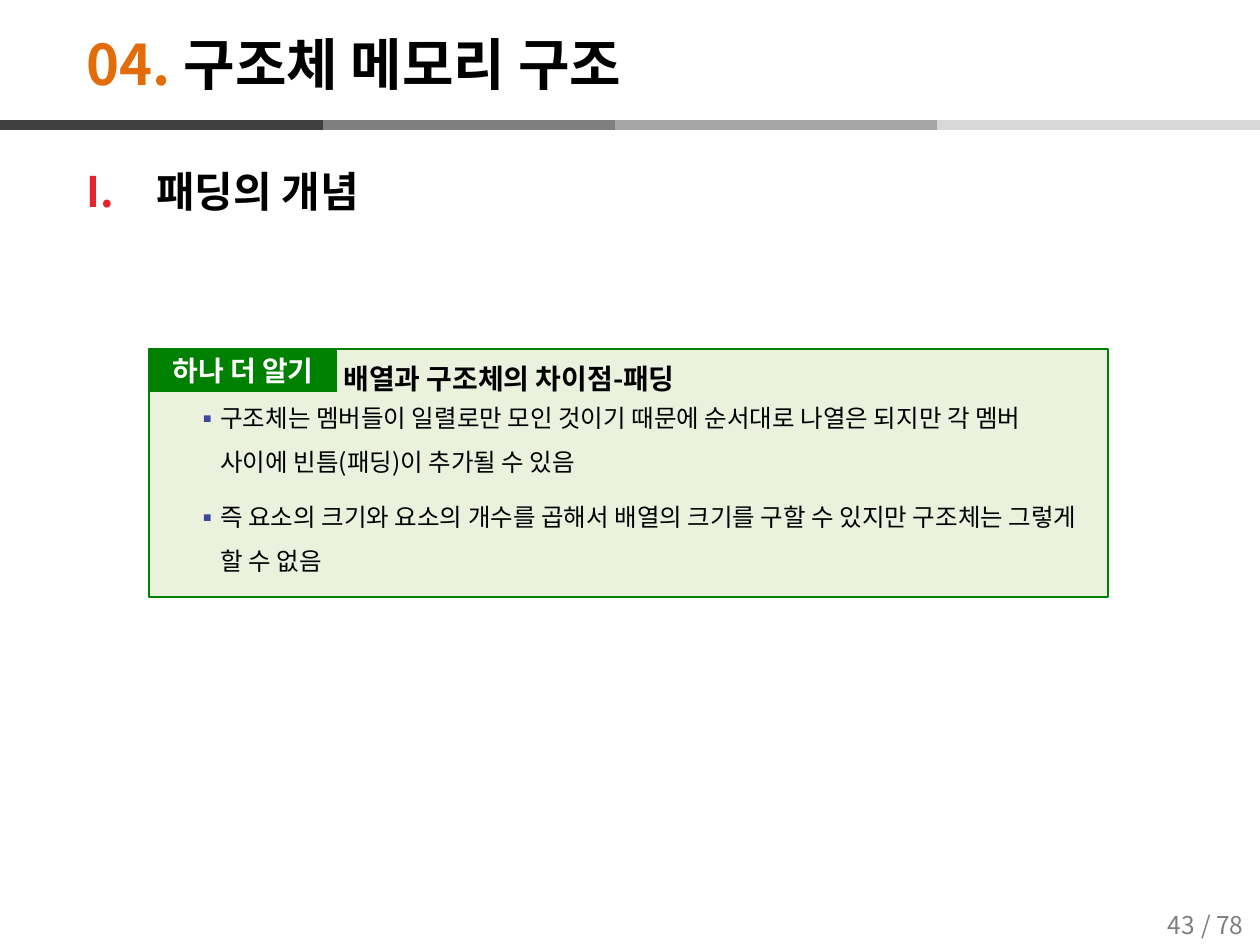
from lxml import etree
from pptx import Presentation
from pptx.dml.color import RGBColor
from pptx.enum.shapes import MSO_CONNECTOR, MSO_SHAPE
from pptx.enum.text import MSO_ANCHOR, PP_ALIGN
from pptx.oxml.ns import qn
from pptx.util import Emu, Pt

FONT = "Noto Sans CJK KR"
PX = 914400 / 126
LINE = MSO_CONNECTOR.STRAIGHT
RECTANGLE = MSO_SHAPE.RECTANGLE
TOP, MIDDLE = MSO_ANCHOR.TOP, MSO_ANCHOR.MIDDLE
LEFT, CENTER = PP_ALIGN.LEFT, PP_ALIGN.CENTER


def px(*lengths):
    return [Emu(round(length * PX)) for length in lengths]


def write(shape, paragraphs, size, color, bold=False, align=LEFT, anchor=MIDDLE,
          spacing=1.0, before=0, bullet=None):
    """Fill a shape with paragraphs; bullet is (tag, attributes, color, indent in px)."""
    frame = shape.text_frame
    frame.word_wrap = True
    frame.vertical_anchor = anchor
    for index, runs in enumerate(paragraphs):
        paragraph = frame.add_paragraph() if index else frame.paragraphs[0]
        paragraph.alignment = align
        paragraph.line_spacing = spacing
        paragraph.space_before = Pt(before)
        if bullet:
            tag, attributes, bullet_color, (margin, hanging) = bullet
            properties = paragraph._p.get_or_add_pPr()
            properties.set("marL", str(px(margin)[0]))
            properties.set("indent", str(-px(hanging)[0]))
            bullet_fill = etree.SubElement(properties, qn("a:buClr"))
            etree.SubElement(bullet_fill, qn("a:srgbClr"), val=bullet_color)
            etree.SubElement(properties, qn("a:buFont"), typeface=FONT)
            etree.SubElement(properties, qn(tag), attributes)
        font = paragraph.font
        font.size, font.bold = Pt(size), bold
        font.color.rgb = RGBColor.from_string(color)
        font.name = FONT
        etree.SubElement(font._element, qn("a:ea"), typeface=FONT)
        for text, run_color in runs:
            run = paragraph.add_run()
            run.text = text
            if run_color:
                run.font.color.rgb = RGBColor.from_string(run_color)


presentation = Presentation()
presentation.slide_width, presentation.slide_height = px(1260, 945)
slide = presentation.slides.add_slide(presentation.slide_layouts[6])
shapes = slide.shapes

# Divider under the title; the dark piece overlaps its neighbour
for start, color in [(292, "7F7F7F"), (615, "A5A5A5"), (937, "D8D8D8"), (0, "3F3F3F")]:
    divider = shapes.add_connector(LINE, *px(start, 125, start + 323, 125))
    divider.line.color.rgb = RGBColor.from_string(color)
    divider.line.width = Pt(6)
    etree.SubElement(divider._element.spPr, qn("a:effectLst"))

# Page number
for left, text in [(1178, "/ 78"), (1137, "43")]:
    page_box = shapes.add_textbox(*px(left, 900, 89, 49))
    write(page_box, [[(text, None)]], 14, "7F7F7F", align=CENTER)

# Title and section heading
title = shapes.add_textbox(*px(74, 25, 942, 76))
write(title, [[("04. ", "E36C09"), ("구조체 메모리 구조", None)]], 32, "000000", bold=True)
heading = shapes.add_textbox(*px(74, 139, 1160, 755))
write(heading, [[("패딩의 개념", None)]], 24, "000000", bold=True, anchor=TOP, spacing=1.4,
      bullet=("a:buAutoNum", {"type": "romanUcPeriod"}, "E5242C", (70, 70)))

# Note panel with its label
panel = shapes.add_shape(RECTANGLE, *px(149, 349, 959, 248))
notes = shapes.add_textbox(*px(146, 382, 944, 113))
label = shapes.add_shape(RECTANGLE, *px(149, 349, 188, 43))
note_title = shapes.add_textbox(*px(331, 343, 582, 53))

for shape, color in [(panel, "EAF1DD"), (label, "008000")]:
    shape.shadow.inherit = False
    shape.fill.solid()
    shape.fill.fore_color.rgb = RGBColor.from_string(color)
panel.line.color.rgb = RGBColor.from_string("008000")
panel.line.width = Pt(1)
label.line.fill.background()

points = [
    "구조체는 멤버들이 일렬로만 모인 것이기 때문에 순서대로 나열은 되지만 각 멤버 사이에 빈틈(패딩)이 추가될 수 있음",
    "즉 요소의 크기와 요소의 개수를 곱해서 배열의 크기를 구할 수 있지만 구조체는 그렇게 할 수 없음",
]
write(notes, [[(point, None)] for point in points], 14, "000000", anchor=TOP, spacing=1.5,
      before=6, bullet=("a:buChar", {"char": "▪"}, "3C479D", (62, 25)))
write(label, [[("하나 더 알기", None)]], 16, "FFFFFF", bold=True, align=CENTER)
write(note_title, [[("배열과 구조체의 차이점-패딩", None)]], 16, "000000", bold=True, spacing=1.5)

presentation.save("out.pptx")
